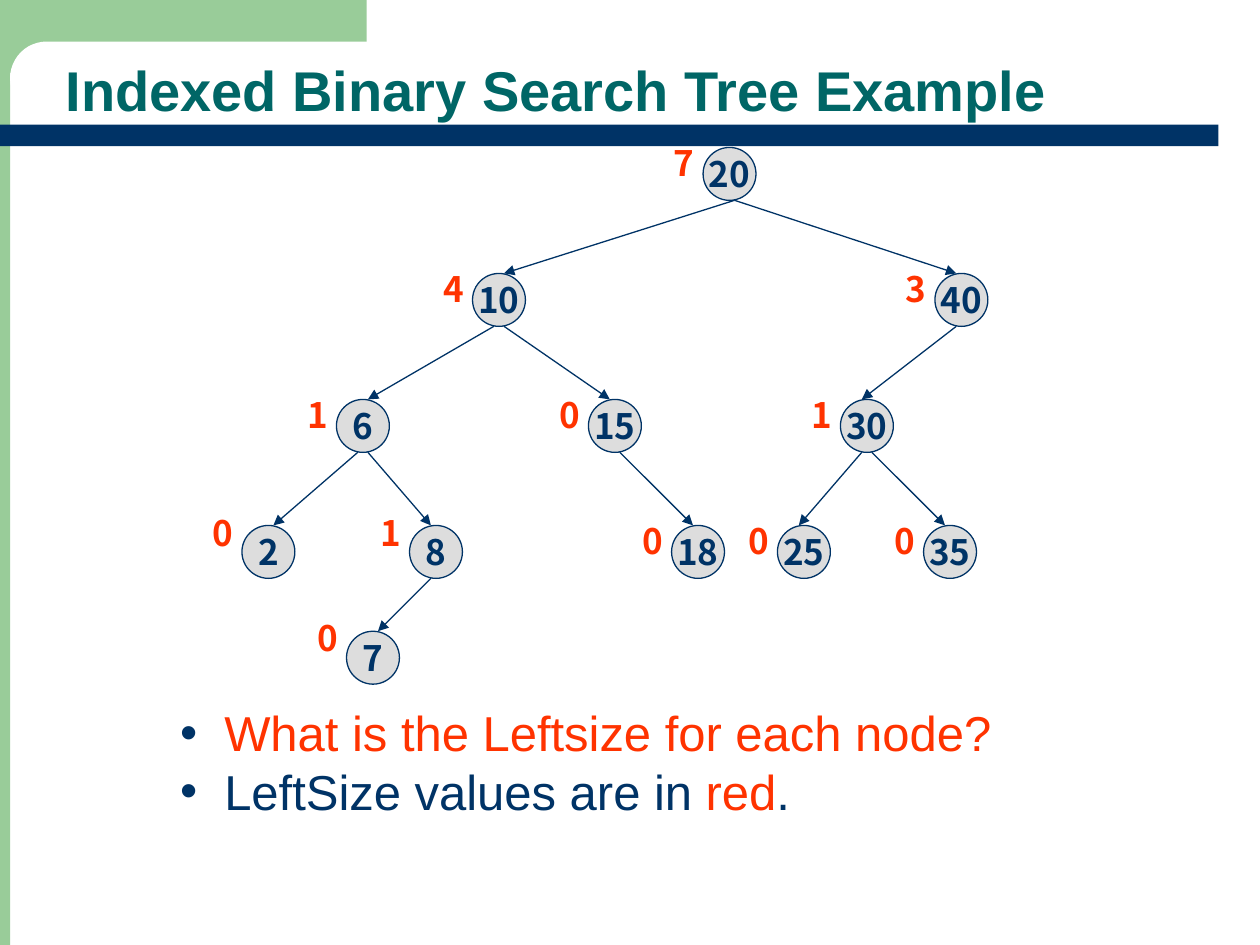
from dataclasses import dataclass

from lxml.etree import SubElement
from pptx import Presentation
from pptx.dml.color import RGBColor
from pptx.enum.shapes import MSO_CONNECTOR, MSO_SHAPE
from pptx.enum.text import MSO_ANCHOR, MSO_AUTO_SIZE, PP_ALIGN
from pptx.oxml.ns import qn
from pptx.util import Inches, Pt


@dataclass(frozen=True)
class Theme:
    navy: str = "003366"
    teal: str = "006666"
    green: str = "99CC99"
    red: str = "FF3300"
    grey: str = "DDDDDD"
    white: str = "FFFFFF"
    sans: str = "Arial"
    digit: str = "Noto Sans CJK KR"
    head: int = 32
    body: int = 28
    node: int = 20


@dataclass(frozen=True)
class Node:
    key: int
    size: int
    left: float
    top: float
    lift: float = 0.1  # how far the size label sits above the node


@dataclass(frozen=True)
class Edge:
    start: int
    end: int
    out: int  # side of the parent's centre: -1 left, 1 right
    into: int  # side of the child's centre


@dataclass(frozen=True)
class Panel:
    kind: MSO_SHAPE
    box: tuple
    fill: str


THEME = Theme()
DIAM = 0.42
NUDGE = 0.04
LABEL_GAP = 0.33

PANELS = [
    Panel(MSO_SHAPE.RECTANGLE, (0, 0, 0.08, 7.5), THEME.green),
    Panel(MSO_SHAPE.RECTANGLE, (0, 0, 2.91, 0.58), THEME.green),
    Panel(MSO_SHAPE.ROUNDED_RECTANGLE, (0.08, 0.33, 5.58, 0.58), THEME.white),
    Panel(MSO_SHAPE.RECTANGLE, (0, 0.99, 9.67, 0.17), THEME.navy),
]
NODES = [
    Node(20, 7, 5.58, 1.17),
    Node(10, 4, 3.75, 2.17),
    Node(40, 3, 7.42, 2.17),
    Node(6, 1, 2.67, 3.17),
    Node(15, 0, 4.67, 3.17),
    Node(30, 1, 6.67, 3.17),
    Node(2, 0, 1.92, 4.17, 0.16),
    Node(8, 1, 3.25, 4.17, 0.16),
    Node(18, 0, 5.33, 4.17),
    Node(25, 0, 6.17, 4.17),
    Node(35, 0, 7.33, 4.17),
    Node(7, 0, 2.75, 5.01, 0.17),
]
EDGES = [
    Edge(20, 10, 1, 1),
    Edge(20, 40, 1, -1),
    Edge(10, 6, -1, 1),
    Edge(10, 15, 1, -1),
    Edge(40, 30, -1, -1),
    Edge(6, 2, -1, 1),
    Edge(6, 8, 1, -1),
    Edge(15, 18, 1, -1),
    Edge(30, 25, -1, -1),
    Edge(30, 35, 1, -1),
    Edge(8, 7, -1, 1),
]
POINTS = [
    [("What is the Leftsize for each node?", THEME.red)],
    [("LeftSize values are in ", THEME.navy), ("red", THEME.red),
     (".", THEME.navy)],
]


def rgb(code: str) -> RGBColor:
    return RGBColor.from_string(code)


def place(shape, left: float, top: float, width: float, height: float) -> None:
    shape.left, shape.top = Inches(left), Inches(top)
    shape.width, shape.height = Inches(width), Inches(height)


def style(run, size: int, color: str, face: str, bold: bool) -> None:
    font = run.font
    font.size, font.name, font.bold = Pt(size), face, bold
    font.color.rgb = rgb(color)


def draw_panel(shapes, panel: Panel) -> None:
    shape = shapes.add_shape(panel.kind, *map(Inches, panel.box))
    shape.shadow.inherit = False
    shape.fill.solid()
    shape.fill.fore_color.rgb = rgb(panel.fill)
    shape.line.fill.background()
    if panel.kind == MSO_SHAPE.ROUNDED_RECTANGLE:
        shape.adjustments[0] = 0.5


def write_digit(shape, value: int, color: str) -> None:
    frame = shape.text_frame
    frame.text = str(value)
    frame.word_wrap = False
    style(frame.paragraphs[0].runs[0], THEME.node, color, THEME.digit, True)


def draw_node(shapes, node: Node) -> None:
    shape = shapes.add_shape(MSO_SHAPE.OVAL, Inches(node.left),
                             Inches(node.top), Inches(DIAM), Inches(DIAM))
    shape.shadow.inherit = False
    shape.fill.solid()
    shape.fill.fore_color.rgb = rgb(THEME.grey)
    shape.line.color.rgb = rgb(THEME.navy)
    shape.line.width = Pt(0.75)
    write_digit(shape, node.key, THEME.navy)
    shape.text_frame.vertical_anchor = MSO_ANCHOR.MIDDLE
    shape.text_frame.paragraphs[0].alignment = PP_ALIGN.CENTER


def draw_label(shapes, node: Node) -> None:
    box = shapes.add_textbox(Inches(node.left - LABEL_GAP),
                             Inches(node.top - node.lift),
                             Inches(0.36), Inches(0.43))
    write_digit(box, node.size, THEME.red)
    box.text_frame.auto_size = MSO_AUTO_SIZE.SHAPE_TO_FIT_TEXT


def draw_edge(shapes, edge: Edge, nodes: dict[int, Node]) -> None:
    start, end = nodes[edge.start], nodes[edge.end]
    mid = DIAM / 2
    line = shapes.add_connector(
        MSO_CONNECTOR.STRAIGHT,
        Inches(start.left + mid + edge.out * NUDGE), Inches(start.top + DIAM),
        Inches(end.left + mid + edge.into * NUDGE), Inches(end.top))
    line.line.color.rgb = rgb(THEME.navy)
    line.line.width = Pt(0.75)
    SubElement(line.line._get_or_add_ln(), qn("a:tailEnd"), type="triangle")
    SubElement(line._element.spPr, qn("a:effectLst"))


def set_bullet(para) -> None:
    props = para._p.get_or_add_pPr()
    props.set("marL", str(Inches(0.35)))
    props.set("indent", str(-Inches(0.35)))
    tint = SubElement(props, qn("a:buClr"))
    SubElement(tint, qn("a:srgbClr"), val=THEME.navy)
    SubElement(props, qn("a:buFont"), typeface=THEME.sans)
    SubElement(props, qn("a:buChar"), char="•")


def fill_title(title) -> None:
    place(title, 0.42, 0.36, 9.17, 0.67)
    frame = title.text_frame
    frame.text = "Indexed Binary Search Tree Example"
    frame.auto_size = MSO_AUTO_SIZE.NONE
    frame.vertical_anchor = MSO_ANCHOR.BOTTOM
    para = frame.paragraphs[0]
    para.alignment = PP_ALIGN.LEFT
    para.line_spacing = 0.9
    style(para.runs[0], THEME.head, THEME.teal, THEME.sans, True)


def fill_body(body) -> None:
    place(body, 1.33, 5.53, 6.88, 1.03)
    frame = body.text_frame
    frame.text = "\n".join("".join(text for text, _ in point)
                           for point in POINTS)
    frame.auto_size = MSO_AUTO_SIZE.NONE
    for para, point in zip(frame.paragraphs, POINTS):
        para.space_before = Pt(0)
        para.line_spacing = Pt(33.5)
        set_bullet(para)
        para.runs[0].text = point[0][0]
        for text, _ in point[1:]:
            para.add_run().text = text
        for run, (_, color) in zip(para.runs, point):
            style(run, THEME.body, color, THEME.sans, False)


def main() -> None:
    deck = Presentation()
    deck.slide_width, deck.slide_height = Inches(10), Inches(7.5)
    slide = deck.slides.add_slide(deck.slide_layouts[1])
    shapes = slide.shapes
    title, body = shapes.title, slide.placeholders[1]
    for panel in PANELS:
        draw_panel(shapes, panel)
    fill_title(title)
    fill_body(body)
    for holder in (title, body):  # bring the text in front of the panels
        shapes._spTree.append(holder._element)
    nodes = {node.key: node for node in NODES}
    for node in NODES:
        draw_node(shapes, node)
    for edge in EDGES:
        draw_edge(shapes, edge, nodes)
    for node in NODES:
        draw_label(shapes, node)
    deck.save("out.pptx")


if __name__ == "__main__":
    main()
